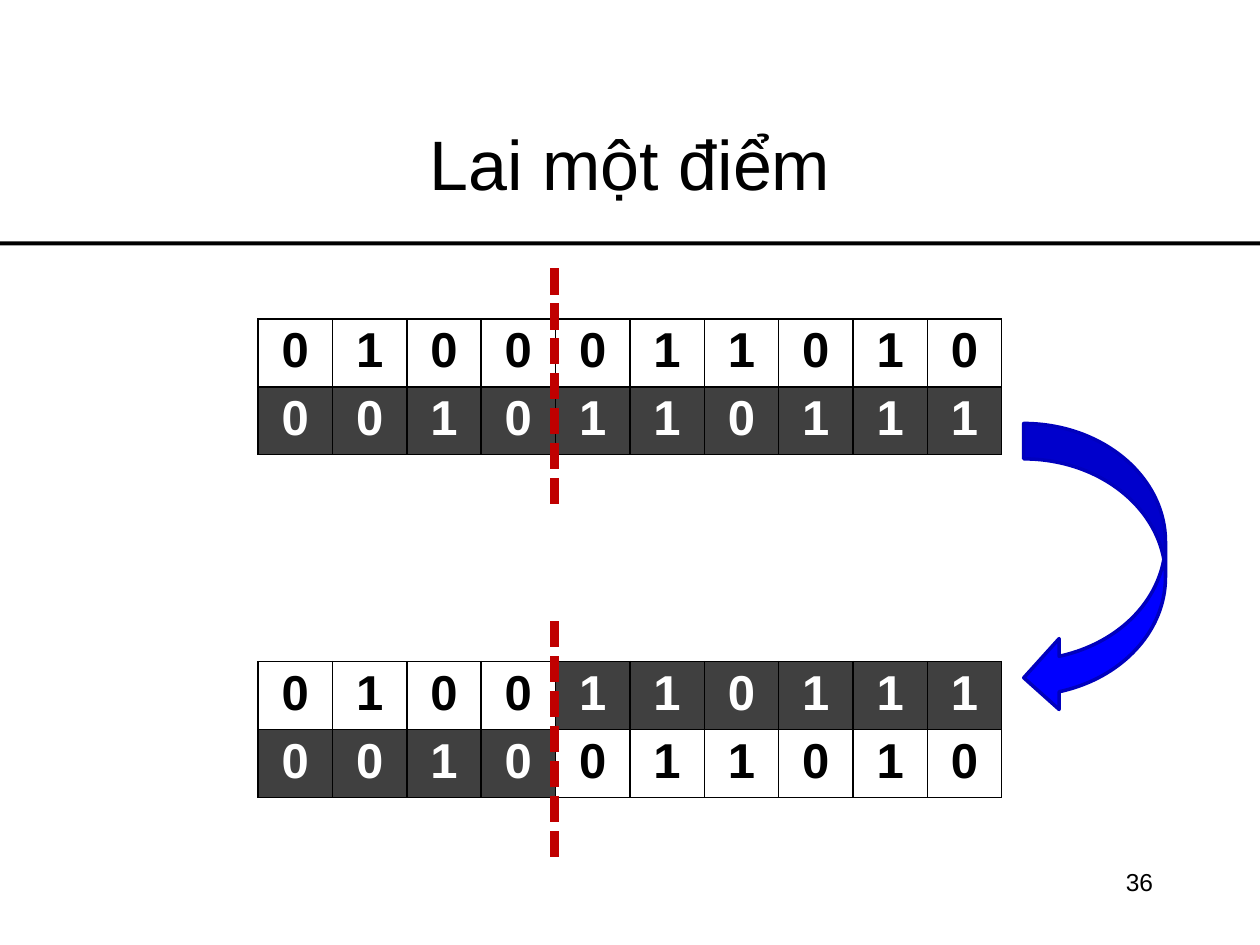
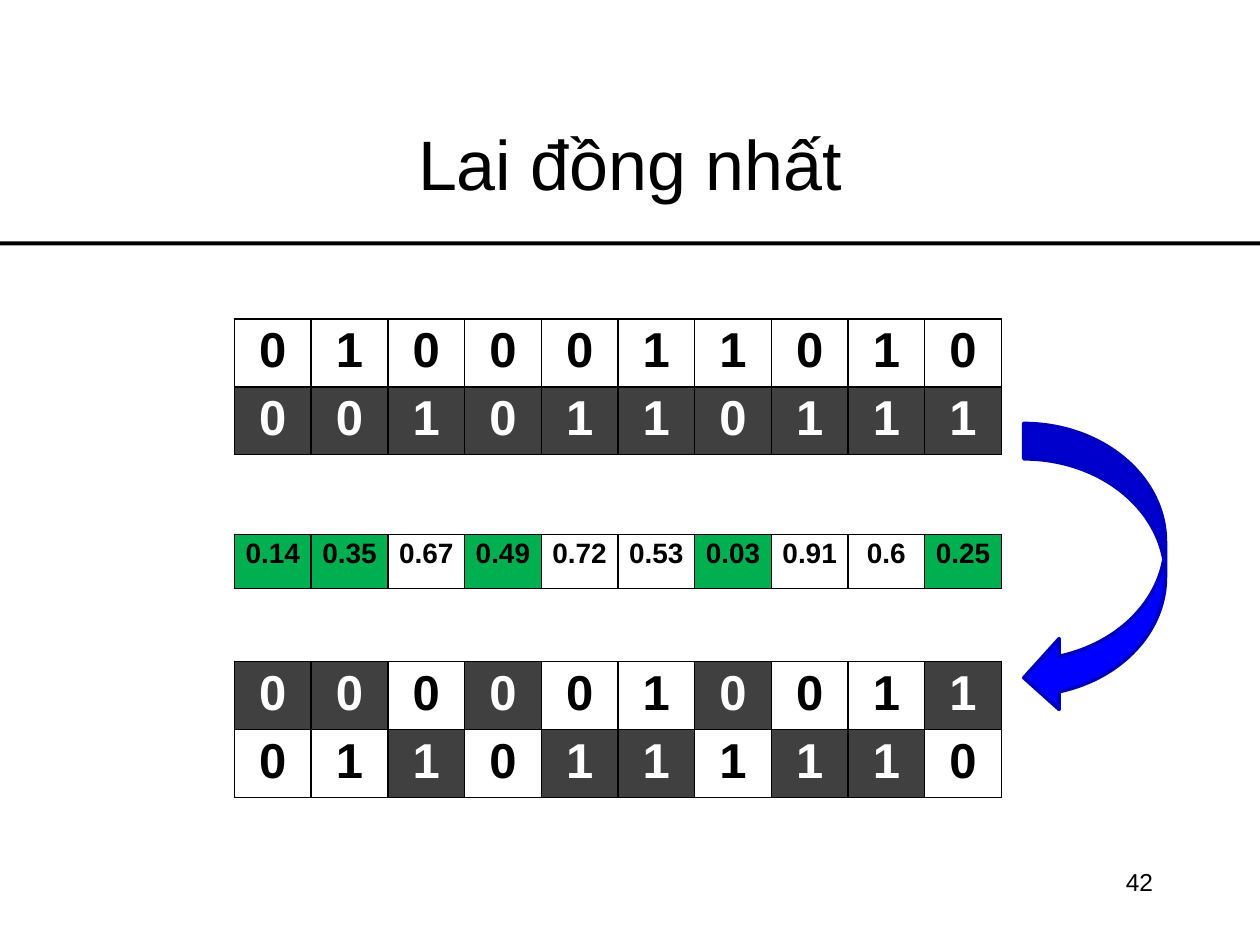
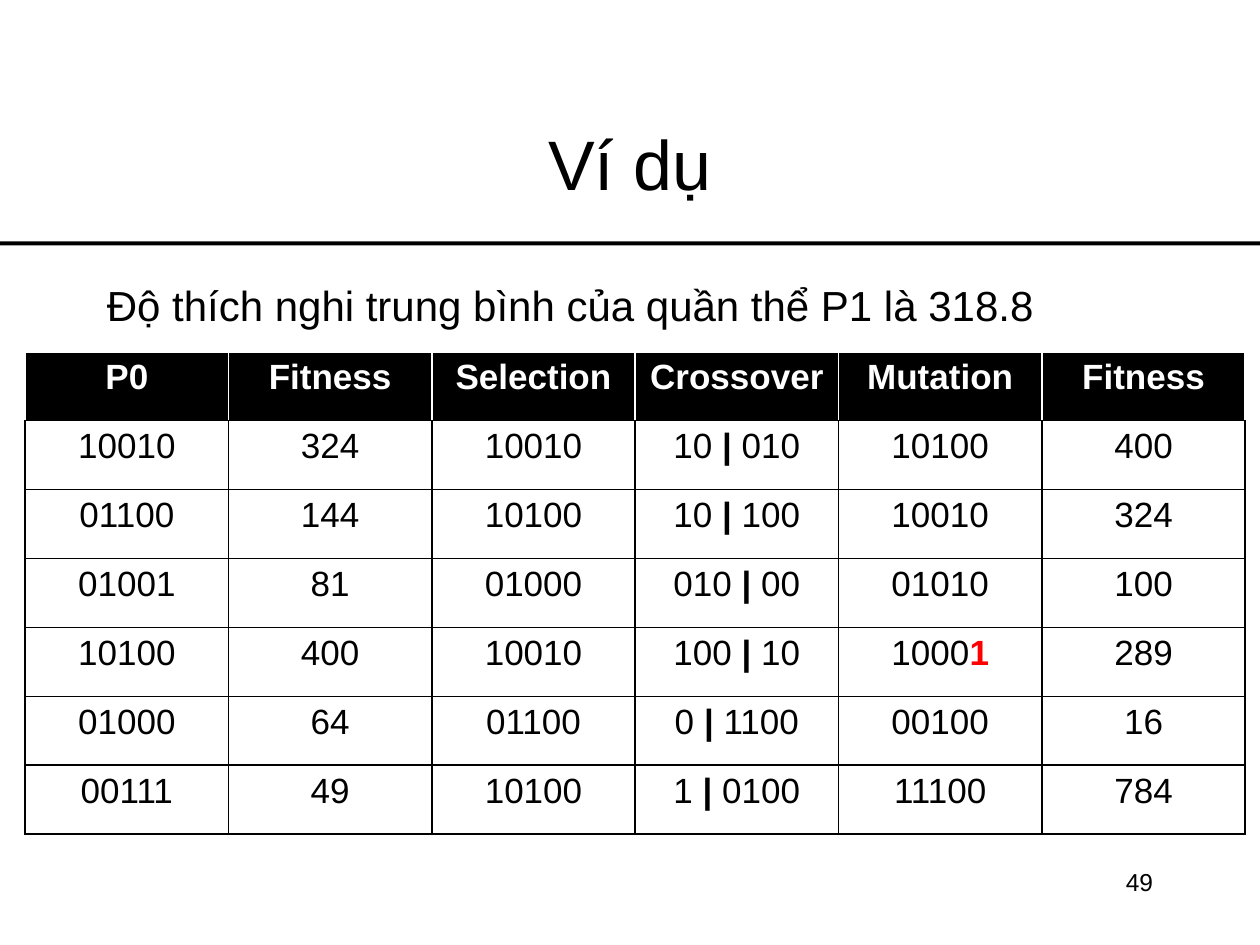
from lxml import etree
from pptx import Presentation
from pptx.dml.color import RGBColor
from pptx.enum.dml import MSO_LINE
from pptx.enum.shapes import MSO_CONNECTOR, MSO_SHAPE
from pptx.enum.text import MSO_ANCHOR, PP_ALIGN
from pptx.oxml.ns import qn
from pptx.util import Pt

BLACK = RGBColor(0x00, 0x00, 0x00)
WHITE = RGBColor(0xFF, 0xFF, 0xFF)
DARK_GREY = RGBColor(0x40, 0x40, 0x40)
GREEN = RGBColor(0x00, 0xB0, 0x50)
RED = RGBColor(0xFF, 0x00, 0x00)
DARK_RED = RGBColor(0xC0, 0x00, 0x00)
BLUE = RGBColor(0x00, 0x00, 0xFF)
DARK_BLUE = RGBColor(0x00, 0x00, 0xBD)

LEFT, CENTER, RIGHT = PP_ALIGN.LEFT, PP_ALIGN.CENTER, PP_ALIGN.RIGHT
TOP, MIDDLE = MSO_ANCHOR.TOP, MSO_ANCHOR.MIDDLE
RECTANGLE, CURVED_ARROW = MSO_SHAPE.RECTANGLE, MSO_SHAPE.CURVED_LEFT_ARROW
STRAIGHT, SQUARE_DOT = MSO_CONNECTOR.STRAIGHT, MSO_LINE.SQUARE_DOT

FONT = "Arial"
SLIDE_WIDTH, SLIDE_HEIGHT = 720, 540
PARENTS_TOP, NUMBERS_TOP, CHILDREN_TOP = 182.2, 305.3, 378
GENE_HEIGHT = 37.4


class Deck:
    """Holds the presentation, its style and the current slide."""

    def __init__(self):
        self.presentation = Presentation()
        self.presentation.slide_width = Pt(SLIDE_WIDTH)
        self.presentation.slide_height = Pt(SLIDE_HEIGHT)
        self.slide = None

    def add_slide(self, title, number):
        layout = self.presentation.slide_layouts[6]
        self.slide = self.presentation.slides.add_slide(layout)
        self.shape(RECTANGLE, 0, 138, SLIDE_WIDTH, 2.2, BLACK)
        self.text(title, 54, 48, 612, 90, 40, CENTER, MIDDLE)
        self.text(str(number), 516, 492, 150, 36, 14, RIGHT)

    def fill_paragraph(self, paragraph, content, size, align, color=BLACK, bold=False):
        """Set a string, or a list of strings and (bold text, colour) pairs."""
        paragraph.alignment = align
        font = paragraph.font
        font.name, font.size, font.bold = FONT, Pt(size), bold
        font.color.rgb = color
        for part in [content] if isinstance(content, str) else content:
            run = paragraph.add_run()
            if isinstance(part, str):
                run.text = part
            else:
                run.text, run.font.color.rgb = part
                run.font.bold = True

    def text(self, content, left, top, width, height, size, align=LEFT,
             anchor=TOP, space_before=0):
        box = self.slide.shapes.add_textbox(Pt(left), Pt(top), Pt(width), Pt(height))
        frame = box.text_frame
        frame.word_wrap = True
        frame.vertical_anchor = anchor
        paragraph = frame.paragraphs[0]
        paragraph.space_before = Pt(space_before)
        self.fill_paragraph(paragraph, content, size, align)

    def shape(self, kind, left, top, width, height, fill, line=None, line_width=2):
        shape = self.slide.shapes.add_shape(
            kind, Pt(left), Pt(top), Pt(width), Pt(height))
        shape.shadow.inherit = False
        shape.fill.solid()
        shape.fill.fore_color.rgb = fill
        if line is None:
            shape.line.fill.background()
        else:
            shape.line.color.rgb = line
            shape.line.width = Pt(line_width)

    def dotted_line(self, x, top, bottom):
        connector = self.slide.shapes.add_connector(
            STRAIGHT, Pt(x), Pt(top), Pt(x), Pt(bottom))
        connector.line.color.rgb = DARK_RED
        connector.line.width = Pt(5)
        connector.line.dash_style = SQUARE_DOT
        properties = connector._element.spPr
        etree.SubElement(properties, qn("a:effectLst"))

    def border(self, cell, side, color):
        properties = cell._tc.get_or_add_tcPr()
        line = etree.SubElement(properties, qn(f"a:ln{side}"), w=str(Pt(1)))
        fill = etree.SubElement(line, qn("a:solidFill"))
        etree.SubElement(fill, qn("a:srgbClr"), val=str(color))

    def table(self, rows, left, top, column_width, row_height, size,
              side_margin, edge_margin):
        """Each cell is (content, text colour, fill, bold, border colour)."""
        columns = len(rows[0])
        table = self.slide.shapes.add_table(
            len(rows), columns, Pt(left), Pt(top),
            Pt(column_width * columns), Pt(row_height * len(rows))).table
        table.first_row = table.horz_banding = False
        for column in table.columns:
            column.width = Pt(column_width)
        for row_index, row in enumerate(rows):
            table.rows[row_index].height = Pt(row_height)
            for column_index, (content, color, fill, bold, edge) in enumerate(row):
                cell = table.cell(row_index, column_index)
                cell.margin_left = cell.margin_right = Pt(side_margin)
                cell.margin_top = cell.margin_bottom = Pt(edge_margin)
                for side in "LRT":
                    self.border(cell, side, edge)
                self.border(cell, "B", BLACK)
                cell.fill.solid()
                cell.fill.fore_color.rgb = fill
                self.fill_paragraph(cell.text_frame.paragraphs[0], content, size,
                                    CENTER, color, bold)

    def genes(self, rows, left, top, column_width):
        cells = [[(bit, WHITE if dark else BLACK, DARK_GREY if dark else WHITE,
                   True, BLACK) for bit, dark in row] for row in rows]
        self.table(cells, left, top, column_width, GENE_HEIGHT, 28, 5, 2.6)

    def crossover(self, swapped, left, column_width):
        """Show the parents, and the children after swapping the flagged genes."""
        parents = [[(bit, False) for bit in "0100011010"],
                   [(bit, True) for bit in "0010110111"]]
        pairs = [(second, first) if swap else (first, second)
                 for first, second, swap in zip(*parents, swapped)]
        self.genes(parents, left, PARENTS_TOP, column_width)
        self.genes(list(zip(*pairs)), left, CHILDREN_TOP, column_width)
        self.shape(CURVED_ARROW, 585, 242, 81, 165.6, BLUE, DARK_BLUE)


def cut(head, tail):
    return [f"{head} ", ("|", BLACK), f" {tail}"]


# One-point crossover
def one_point_slide(deck):
    deck.add_slide("Lai một điểm", 36)
    deck.crossover([index >= 4 for index in range(10)], 147.5, 42.5)
    for top in (153.4, 355):
        deck.dotted_line(316.8, top, top + 136.8)


# Uniform crossover
def uniform_slide(deck):
    deck.add_slide("Lai đồng nhất", 42)
    left, column_width = 134, 43.85
    numbers = [0.14, 0.35, 0.67, 0.49, 0.72, 0.53, 0.03, 0.91, 0.6, 0.25]
    swapped = [number < 0.5 for number in numbers]
    deck.crossover(swapped, left, column_width)
    cells = [(str(number), BLACK, GREEN if swap else WHITE, True, BLACK)
             for number, swap in zip(numbers, swapped)]
    deck.table([cells], left, NUMBERS_TOP, column_width, 31, 16, 5, 2.6)


# One generation, step by step
def example_slide(deck):
    deck.add_slide("Ví dụ", 49)
    deck.text("Độ thích nghi trung bình của quần thể P1 là 318.8",
              54, 156, 612, 45, 24, space_before=3)
    header = ["P0", "Fitness", "Selection", "Crossover", "Mutation", "Fitness"]
    generation = [
        ["10010", "324", "10010", cut("10", "010"), "10100", "400"],
        ["01100", "144", "10100", cut("10", "100"), "10010", "324"],
        ["01001", "81", "01000", cut("010", "00"), "01010", "100"],
        ["10100", "400", "10010", cut("100", "10"), ["1000", ("1", RED)], "289"],
        ["01000", "64", "01100", cut("0", "1100"), "00100", "16"],
        ["00111", "49", "10100", cut("1", "0100"), "11100", "784"],
    ]
    rows = [[(name, WHITE, BLACK, True, WHITE) for name in header]]
    rows += [[(value, BLACK, WHITE, False, BLACK) for value in row]
             for row in generation]
    deck.table(rows, 14.4, 201, 116.2, 39.4, 20, 7.2, 3.6)


def main():
    deck = Deck()
    one_point_slide(deck)
    uniform_slide(deck)
    example_slide(deck)
    deck.presentation.save("out.pptx")


if __name__ == "__main__":
    main()
